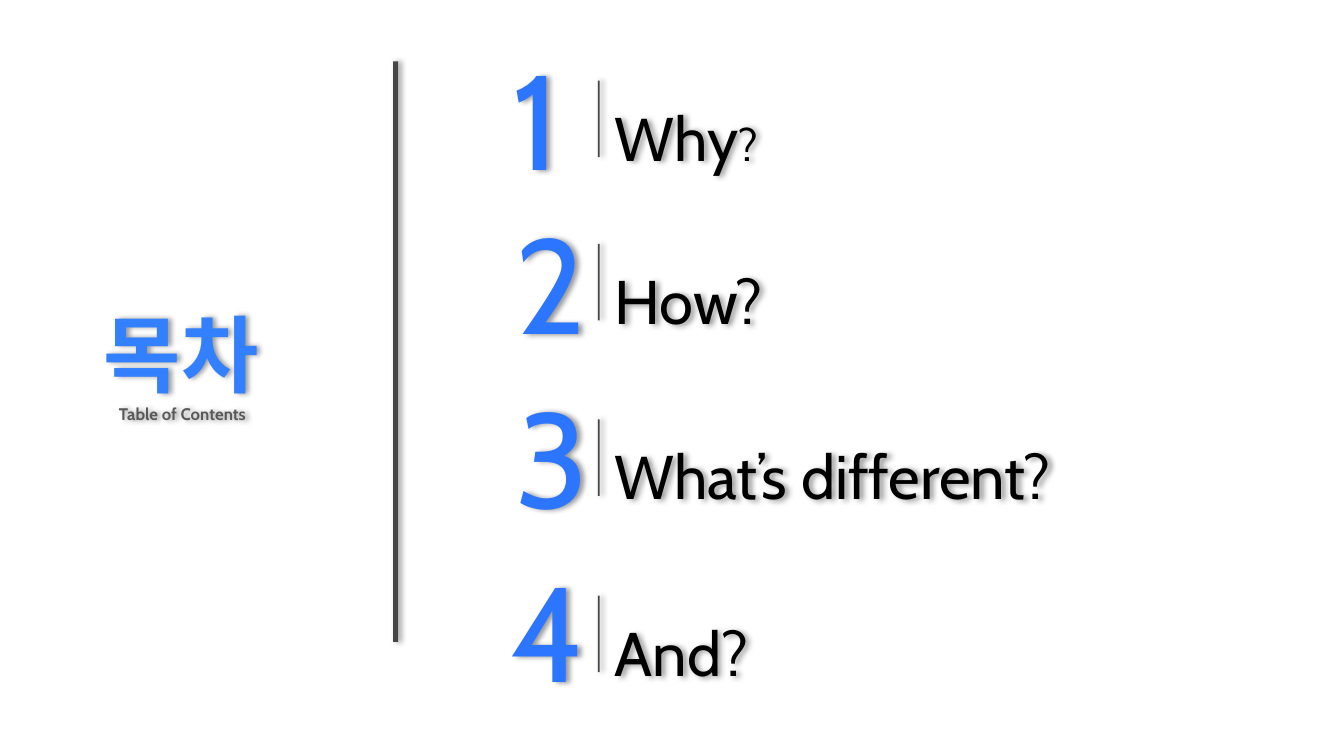
from lxml.etree import SubElement
from pptx import Presentation
from pptx.dml.color import RGBColor
from pptx.enum.shapes import MSO_SHAPE
from pptx.oxml.ns import qn
from pptx.util import Pt

COLORS = {"number": "2C76FF", "title": "3380FE", "label": "000000",
          "subtitle": "595959", "bar": "464646", "shadow": "000000"}
FONT = "Cabin"

deck = Presentation()
deck.slide_width = Pt(960)
deck.slide_height = Pt(540)
page = deck.slides.add_slide(deck.slide_layouts[6])


def add_shadow(shape):
    shape.shadow.inherit = False
    effects = shape._element.spPr.find(qn("a:effectLst"))
    outer = SubElement(effects, qn("a:outerShdw"), blurRad=str(Pt(4)),
                       dist=str(Pt(2)), dir="0", algn="l", rotWithShape="0")
    color = SubElement(outer, qn("a:srgbClr"), val=COLORS["shadow"])
    SubElement(color, qn("a:alpha"), val="40000")


def add_text(left, top, width, height, pieces, color, bold=False):
    box = page.shapes.add_textbox(Pt(left), Pt(top), Pt(width), Pt(height))
    box.text_frame.word_wrap = True
    para = box.text_frame.paragraphs[0]
    for text, size in pieces:
        span = para.add_run()
        span.text = text
        span.font.name = FONT
        span.font.size = Pt(size)
        span.font.bold = bold
        span.font.color.rgb = RGBColor.from_string(COLORS[color])
    add_shadow(box)


entries = [
    (359.3, 22.3, 67.7, [("Why", 44), ("?", 32)]),
    (361.4, 139.7, 184.3, [("How?", 44)]),
    (361.4, 263.5, 309.6, [("What’s different?", 44)]),
    (357.8, 388.1, 435.6, [("And?", 44)]),
]
bars = [(280.8, 43.9, 3.6, 414.7)]
for number, (left, number_top, label_top, label) in enumerate(entries, start=1):
    add_text(left, number_top, 48, 123.8, [(str(number), 96)], "number")
    add_text(432, label_top, 493.2, 60.5, label, "label")
    bars.append((427, label_top - 10.1, 1.4, 54.7))

for left, top, width, height in bars:
    bar = page.shapes.add_shape(MSO_SHAPE.RECTANGLE, Pt(left), Pt(top), Pt(width), Pt(height))
    bar.fill.solid()
    bar.fill.fore_color.rgb = RGBColor.from_string(COLORS["bar"])
    bar.line.fill.background()
    add_shadow(bar)

add_text(67, 212.4, 143.3, 79.9, [("목차", 60)], "title", bold=True)
add_text(77.8, 285.1, 132.5, 21.6, [("Table of Contents", 12)], "subtitle", bold=True)

deck.save("out.pptx")
